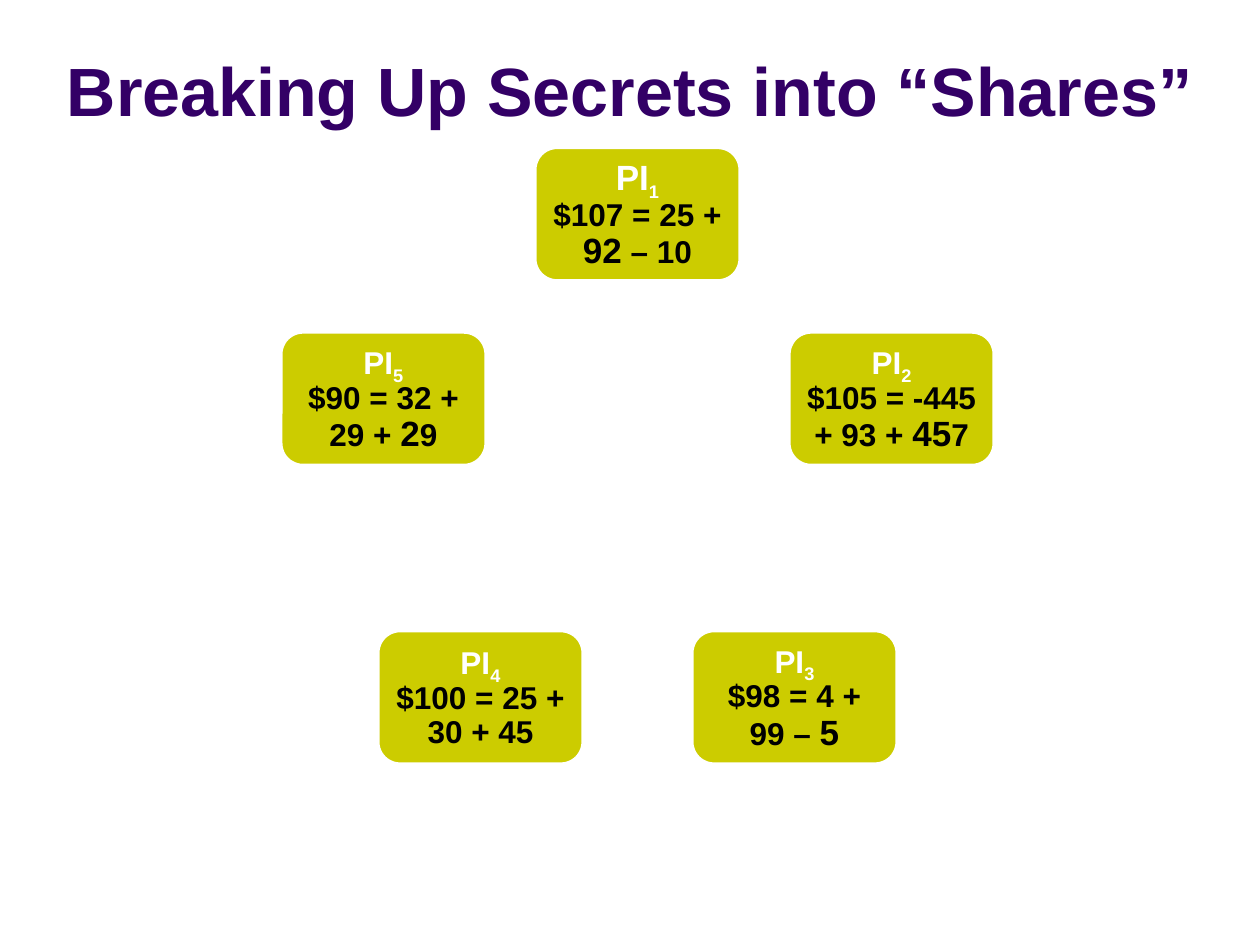
"""Build a slide showing five secret shares arranged in a pentagon."""
import math

from pptx import Presentation
from pptx import util as u
from pptx.dml.color import RGBColor
from pptx.enum import shapes, text

COLORS = {"title": "330066", "box": "CCCC00", "white": "FFFFFF", "black": "000000"}
CENTER_X, CENTER_Y, RADIUS = 5.06, 3.82, 2.12
BOX_WIDTH, BOX_HEIGHT, MARGIN = 1.63, 1.06, 0.07

SHARES = [
    (20, [("$107 = 25 + ", 18), ("92", 20), (" – 10", 18)]),
    (18, [("$105 = -445 + 93 + ", 18), ("45", 20), ("7", 18)]),
    (18, [("$98 = 4 + 99 – ", 18), ("5", 20)]),
    (18, [("$100 = 25 + 30 + 45", 18)]),
    (18, [("$90 = 32 + 29 + ", 18), ("2", 20), ("9", 18)]),
]


def add_run(paragraph, content, size=18, color="black", baseline=None):
    run = paragraph.add_run()
    run.text = content
    run.font.name = "Arial"
    run.font.size = u.Pt(size)
    run.font.bold = True
    run.font.color.rgb = RGBColor.from_string(COLORS[color])
    if baseline is not None:
        run.font._element.set("baseline", str(baseline * 1000))


presentation = Presentation()
presentation.slide_width = u.Inches(10)
presentation.slide_height = u.Inches(7.5)
slide = presentation.slides.add_slide(presentation.slide_layouts[5])

title = slide.shapes.title
title.left, title.top = u.Inches(0), u.Inches(0.13)
title.width, title.height = u.Inches(10), u.Inches(0.95)
title.text_frame.auto_size = text.MSO_AUTO_SIZE.NONE
title.text_frame.vertical_anchor = text.MSO_ANCHOR.BOTTOM
title_paragraph = title.text_frame.paragraphs[0]
title_paragraph.alignment = text.PP_ALIGN.CENTER
add_run(title_paragraph, "Breaking Up Secrets into “Shares”", size=39, color="title")

for index, (label_size, parts) in enumerate(SHARES):
    angle = 2 * math.pi * index / len(SHARES)
    left = CENTER_X + RADIUS * math.sin(angle) - BOX_WIDTH / 2
    top = CENTER_Y - RADIUS * math.cos(angle) - BOX_HEIGHT / 2
    shape = slide.shapes.add_shape(
        shapes.MSO_SHAPE.ROUNDED_RECTANGLE,
        u.Inches(left), u.Inches(top), u.Inches(BOX_WIDTH), u.Inches(BOX_HEIGHT),
    )
    shape.shadow.inherit = False
    shape.fill.solid()
    shape.fill.fore_color.rgb = RGBColor.from_string(COLORS["box"])
    shape.line.color.rgb = RGBColor.from_string(COLORS["white"])
    shape.line.width = u.Pt(2)

    frame = shape.text_frame
    frame.word_wrap = True
    frame.vertical_anchor = text.MSO_ANCHOR.MIDDLE
    frame.margin_left = frame.margin_right = u.Inches(MARGIN)
    frame.margin_top = frame.margin_bottom = u.Inches(MARGIN)
    paragraph = frame.paragraphs[0]
    paragraph.alignment = text.PP_ALIGN.CENTER
    paragraph.line_spacing = 0.9
    add_run(paragraph, "PI", size=label_size, color="white")
    add_run(paragraph, str(index + 1), color="white", baseline=-25)
    paragraph.add_line_break()
    for content, size in parts:
        add_run(paragraph, content, size=size)

presentation.save("out.pptx")
